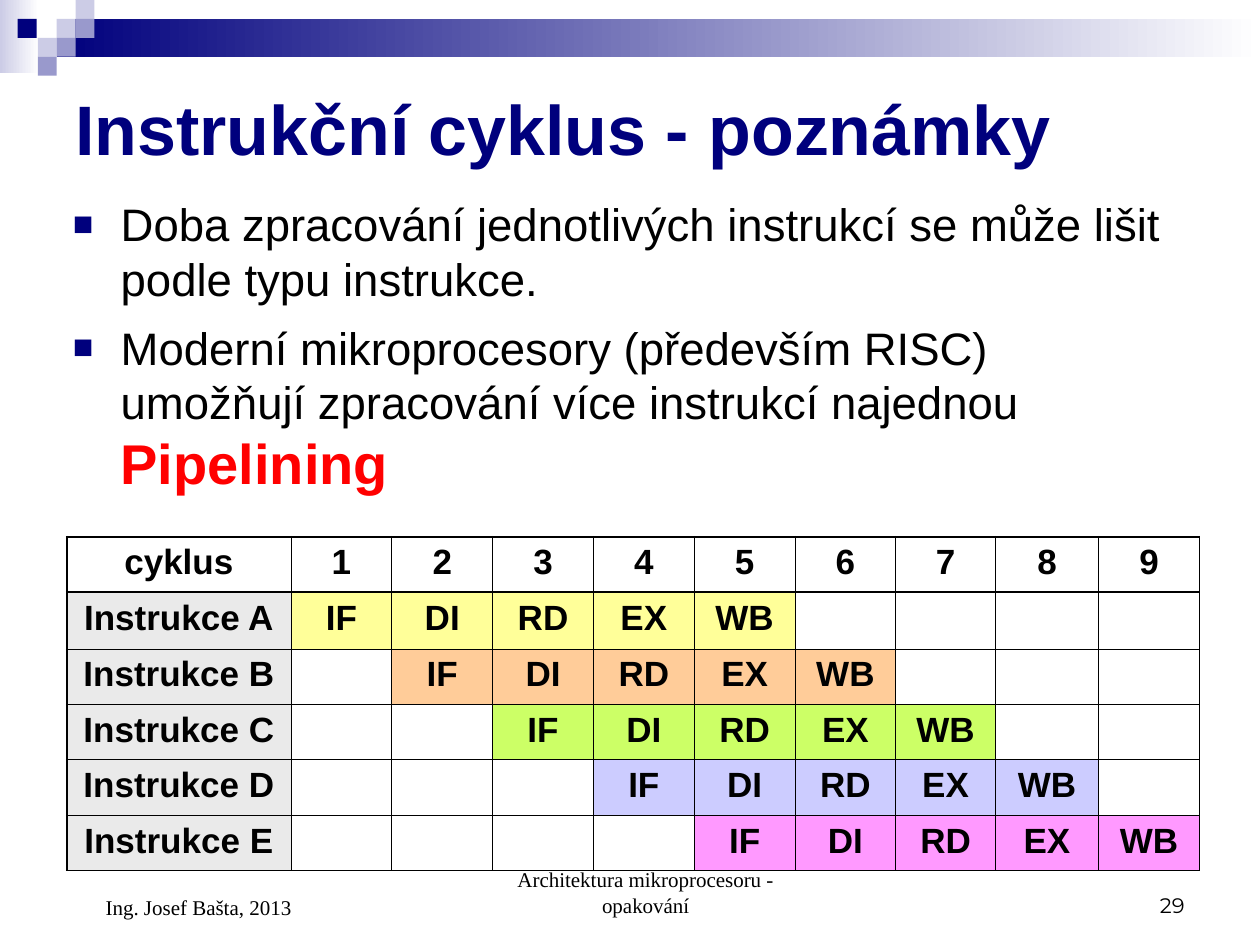
import pptx
import pptx.dml.color
import pptx.enum.dml
import pptx.enum.shapes
import pptx.enum.text
import pptx.oxml
import pptx.oxml.ns
import pptx.util
from lxml import etree

Inches = pptx.util.Inches
Pt = pptx.util.Pt
Align = pptx.enum.text.PP_ALIGN
Anchor = pptx.enum.text.MSO_ANCHOR

COLORS = {
    "navy": "00007D", "lilac": "9999CC", "pale": "CCCCE6", "white": "FFFFFF",
    "black": "000000", "red": "FF0000", "label": "EAEAEA",
}
STAGES = ["IF", "DI", "RD", "EX", "WB"]
INSTRUCTIONS = {"A": "FFFF99", "B": "FFCC99", "C": "CCFF66", "D": "CCCCFF", "E": "FF99FF"}
COLUMN_WIDTHS = [1.78] + [0.8] * 6 + [0.79, 0.82, 0.8]
ROW_HEIGHTS = [0.44, 0.45] + [0.44] * 4
THIN, THICK = 0.45, 1.08


def rgb(name):
    return pptx.dml.color.RGBColor.from_string(COLORS.get(name, name))


def style_font(font, size, color="black", bold=False, name="Arial"):
    font.name = name
    font.size = Pt(size)
    font.bold = bold
    font.color.rgb = rgb(color)


def add_block(page, left, top, width, height, color, fade=False):
    block = page.shapes.add_shape(
        pptx.enum.shapes.MSO_SHAPE.RECTANGLE,
        Inches(left), Inches(top), Inches(width), Inches(height))
    block.shadow.inherit = False
    block.line.fill.background()
    if fade:
        block.fill.gradient()
        block.fill.gradient_angle = 180
        for stop, shade, position in zip(block.fill.gradient_stops, ("white", color), (0, 1)):
            stop.color.rgb = rgb(shade)
            stop.position = position
    else:
        block.fill.solid()
        block.fill.fore_color.rgb = rgb(color)


def add_decoration(page):
    add_block(page, 0, 0, 0.31, 0.58, "pale", fade=True)
    add_block(page, 0.45, 0.15, 9.55, 0.3, "navy", fade=True)
    squares = [
        (0.45, 0.15, "pale"), (0.6, 0, "pale"), (0.6, 0.15, "lilac"), (0.3, 0.3, "pale"),
        (0.14, 0.15, "navy"), (0.45, 0.3, "lilac"), (0.3, 0.45, "lilac"),
    ]
    for left, top, color in squares:
        add_block(page, left, top, 0.15, 0.15, color)


def add_text(page, left, top, width, height, text, anchor):
    box = page.shapes.add_textbox(Inches(left), Inches(top), Inches(width), Inches(height))
    frame = box.text_frame
    frame.word_wrap = True
    frame.vertical_anchor = anchor
    frame.text = text
    return frame


def set_indent(para, left, first=0):
    properties = para._p.get_or_add_pPr()
    properties.set("marL", str(Inches(left)))
    properties.set("indent", str(Inches(first)))
    return properties


def add_bullet(para):
    properties = set_indent(para, 0.38, -0.38)
    color = etree.SubElement(properties, pptx.oxml.ns.qn("a:buClr"))
    etree.SubElement(color, pptx.oxml.ns.qn("a:srgbClr"), val=COLORS["navy"])
    etree.SubElement(properties, pptx.oxml.ns.qn("a:buSzPct"), val="75000")
    etree.SubElement(properties, pptx.oxml.ns.qn("a:buFont"), typeface="Arial")
    etree.SubElement(properties, pptx.oxml.ns.qn("a:buChar"), char="■")


def add_title(page):
    frame = add_text(page, 0.5, 0.5, 9, 1.03, "Instrukční cyklus - poznámky", Anchor.MIDDLE)
    style_font(frame.paragraphs[0].runs[0].font, 40, "navy", bold=True)


def add_body(page):
    frame = add_text(
        page, 0.48, 1.51, 9, 2.48,
        "Doba zpracování jednotlivých instrukcí se může lišit podle typu instrukce.\n"
        "Moderní mikroprocesory (především RISC) umožňují zpracování více instrukcí najednou\v"
        "Pipelining", Anchor.TOP)
    for para in frame.paragraphs:
        add_bullet(para)
        for span in para.runs:
            style_font(span.font, 26)
    last = frame.paragraphs[-1]
    last.space_before = Pt(8)
    style_font(last.runs[-1].font, 32, "red", bold=True)


def set_borders(cell, widths):
    properties = cell._tc.get_or_add_tcPr()
    for index, (side, width) in enumerate(widths.items()):
        line = etree.Element(pptx.oxml.ns.qn("a:ln" + side), w=str(Pt(width)))
        fill = etree.SubElement(line, pptx.oxml.ns.qn("a:solidFill"))
        etree.SubElement(fill, pptx.oxml.ns.qn("a:srgbClr"), val=COLORS["black"])
        properties.insert(index, line)


def fill_cell(cell, text, color=None):
    if color:
        cell.fill.solid()
        cell.fill.fore_color.rgb = rgb(color)
    else:
        cell.fill.background()
    cell.text = text
    para = cell.text_frame.paragraphs[0]
    para.alignment = Align.CENTER
    style_font(para.font, 20, bold=True)
    for span in para.runs:
        style_font(span.font, 20, bold=True)


def cell_content(row, column):
    if row == 0:
        return ("cyklus" if column == 0 else str(column)), None
    letter, color = list(INSTRUCTIONS.items())[row - 1]
    if column == 0:
        return "Instrukce " + letter, "label"
    stage = column - row
    return (STAGES[stage], color) if 0 <= stage < len(STAGES) else ("", None)


def add_pipeline_table(page):
    rows, columns = len(ROW_HEIGHTS), len(COLUMN_WIDTHS)
    table = page.shapes.add_table(
        rows, columns, Inches(0.53), Inches(4.26),
        Inches(sum(COLUMN_WIDTHS)), Inches(sum(ROW_HEIGHTS))).table
    table.first_row = False
    table.horz_banding = False
    for column, width in zip(table.columns, COLUMN_WIDTHS):
        column.width = Inches(width)
    for row, height in zip(table.rows, ROW_HEIGHTS):
        row.height = Inches(height)
    for row in range(rows):
        for column in range(columns):
            cell = table.cell(row, column)
            fill_cell(cell, *cell_content(row, column))
            set_borders(cell, {
                "L": THICK if column == 0 else THIN,
                "R": THICK if column == columns - 1 else THIN,
                "T": THICK if row <= 1 else THIN,
                "B": THICK if row in (0, rows - 1) else THIN,
            })


def add_footer(page, left, width, height, text, align, indent=0.24, font="Times New Roman"):
    para = add_text(page, left, 6.83, width, height, text, Anchor.BOTTOM).paragraphs[0]
    para.alignment = align
    set_indent(para, indent)
    style_font(para.runs[0].font, 12, name=font)


def main():
    deck = pptx.Presentation()
    deck.slide_width = Inches(10)
    deck.slide_height = Inches(7.5)
    page = deck.slides.add_slide(deck.slide_layouts[6])
    add_decoration(page)
    add_title(page)
    add_body(page)
    add_pipeline_table(page)
    add_footer(page, 3.42, 3.17, 0.5, "Architektura mikroprocesoru - opakování", Align.CENTER)
    add_footer(page, 7.17, 2.33, 0.5, "29", Align.RIGHT, indent=0, font="Montserrat")
    add_footer(page, 0.5, 2.33, 0.52, "Ing. Josef Bašta, 2013", Align.LEFT)
    deck.save("out.pptx")


if __name__ == "__main__":
    main()
